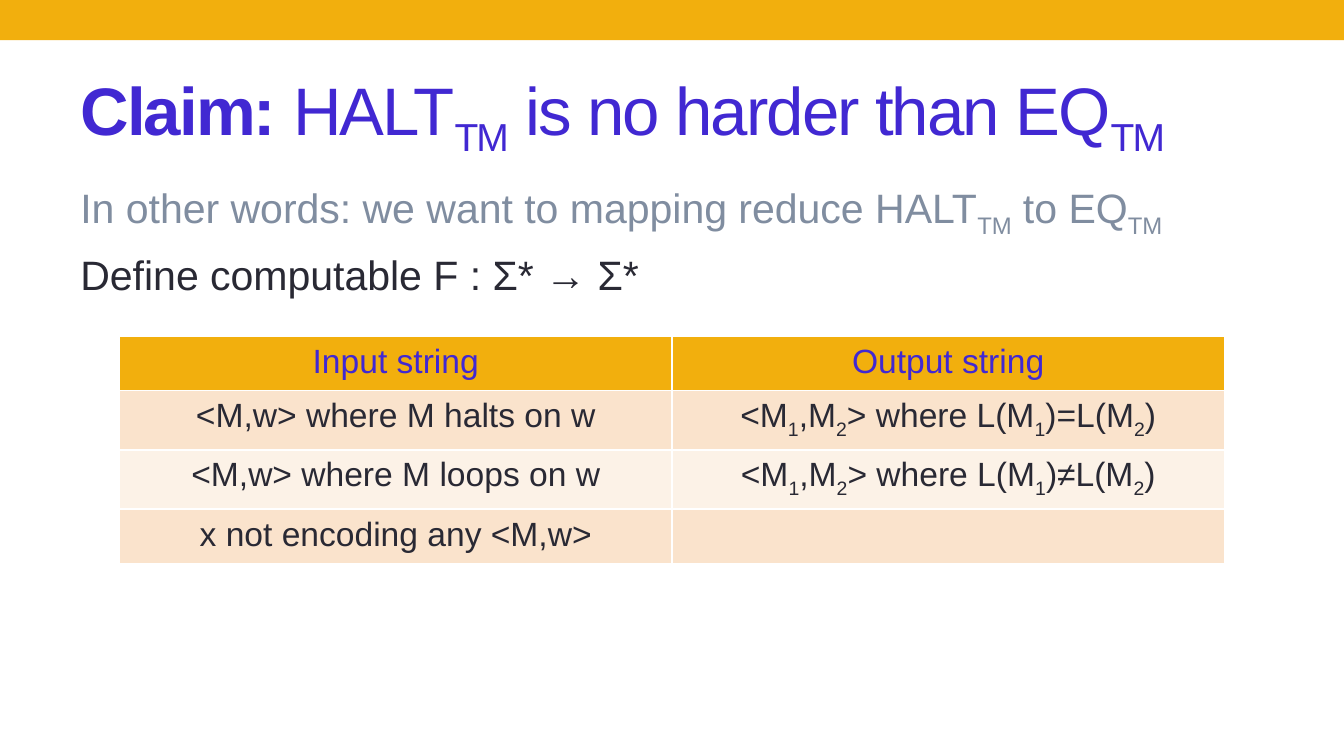
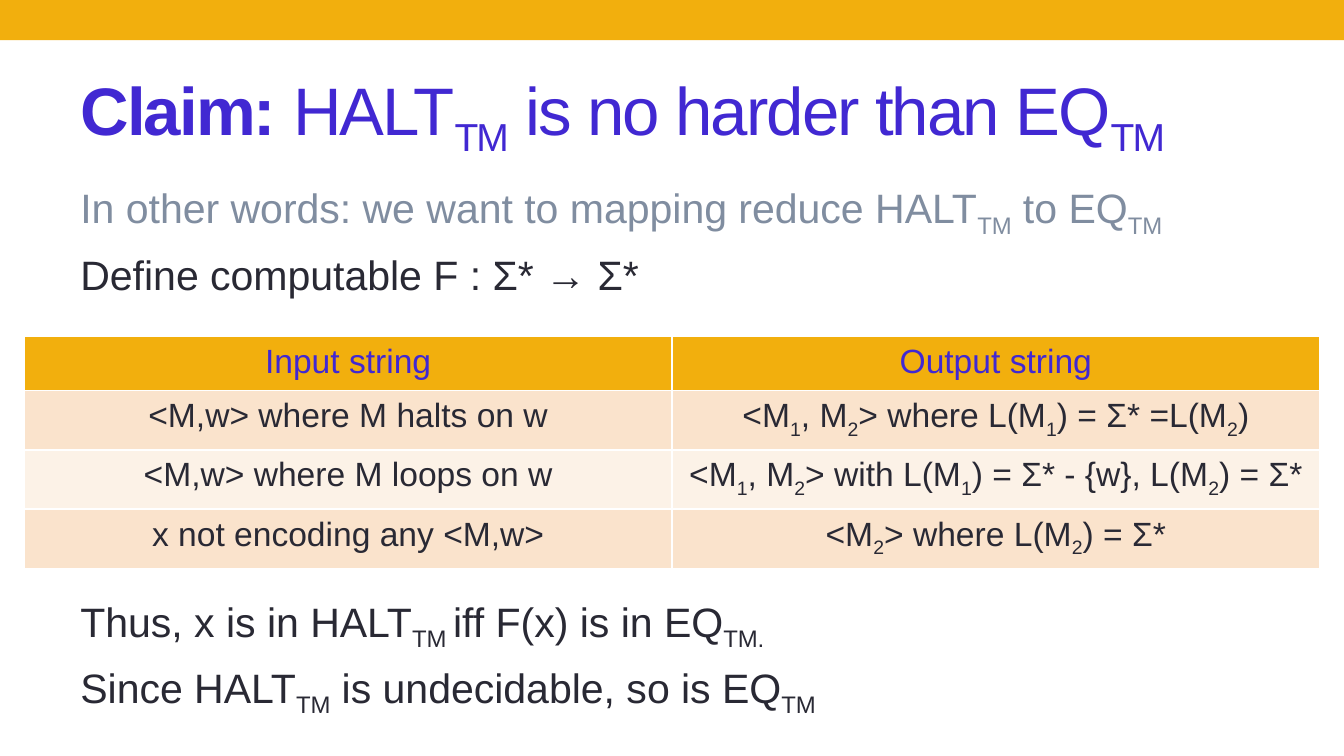
import pptx
import pptx.util
import pptx.dml.color
import pptx.enum.shapes
import pptx.enum.text
import pptx.oxml
import pptx.oxml.ns

Cm, Pt = pptx.util.Cm, pptx.util.Pt
ANCHOR = pptx.enum.text.MSO_ANCHOR
CENTER = pptx.enum.text.PP_ALIGN.CENTER

COLORS = {
    "gold": "F2AF0D",
    "violet": "4128D2",
    "slate": "808DA0",
    "ink": "292934",
    "peach": "FAE3CC",
    "cream": "FCF2E7",
    "white": "FFFFFF",
}

# Text between tildes is subscript.
TITLE = [("Claim: ", True), ("HALT~TM~ is no harder than EQ~TM~", False)]
INTRO = [
    ("In other words: we want to mapping reduce HALT~TM~ to EQ~TM~", "slate", 5.5),
    ("Define computable F : Σ* → Σ*", "ink", 5.5),
]
CONCLUSION = [
    ("Thus, x is in HALT~TM ~iff F(x) is in EQ~TM.~", "ink", 159.5),
    ("Since HALT~TM~ is undecidable, so is EQ~TM~", "ink", 5.5),
]
HEADER = ("Input string", "Output string")
INPUTS = (
    "<M,w> where M halts on w",
    "<M,w> where M loops on w",
    "x not encoding any <M,w>",
)
SLIDES = [
    {
        "body": INTRO,
        "table_width": 20.88,
        "outputs": (
            "<M~1~,M~2~> where L(M~1~)=L(M~2~)",
            "<M~1~,M~2~> where L(M~1~)≠L(M~2~)",
            "",
        ),
    },
    {
        "body": INTRO + CONCLUSION,
        "table_width": 24.48,
        "outputs": (
            "<M~1~, M~2~> where L(M~1~) = Σ* =L(M~2~)",
            "<M~1~, M~2~> with L(M~1~) = Σ* - {w}, L(M~2~) = Σ*",
            "<M~2~> where L(M~2~) = Σ*",
        ),
    },
]

WIDTH, HEIGHT = 25.4, 14.29
MARGIN = 1.27
TABLE_TOP, ROW_HEIGHT = 6.35, 1.03


def rgb(name):
    return pptx.dml.color.RGBColor.from_string(COLORS[name])


def assign(obj, values):
    for name, value in values.items():
        setattr(obj, name, value)


def paint(fill, color):
    fill.solid()
    fill.fore_color.rgb = rgb(color)


def write(p, text, size, color, bold=False, spacing=None):
    for i, part in enumerate(text.split("~")):
        if not part:
            continue
        r = p.add_run()
        r.text = part
        assign(r.font, {"name": "Arial", "size": Pt(size), "bold": bold})
        r.font.color.rgb = rgb(color)
        rPr = r.font._element
        if i % 2:
            rPr.set("baseline", "-25000")
        if spacing:
            rPr.set("spc", str(spacing))


def add_text_frame(s, top, height, anchor):
    tf = s.shapes.add_textbox(
        Cm(MARGIN), Cm(top), Cm(WIDTH - 2 * MARGIN), Cm(height)
    ).text_frame
    assign(tf, {"word_wrap": True, "vertical_anchor": anchor})
    return tf


def add_band(s):
    sp = s.shapes.add_shape(
        pptx.enum.shapes.MSO_SHAPE.RECTANGLE, 0, 0, Cm(WIDTH), Cm(0.76)
    )
    sp.shadow.inherit = False
    paint(sp.fill, "gold")
    sp.line.fill.background()


def add_title(s):
    p = add_text_frame(s, 1.12, 2.06, ANCHOR.MIDDLE).paragraphs[0]
    for text, bold in TITLE:
        write(p, text, 36, "violet", bold, spacing=-100)


def add_body(s, lines):
    tf = add_text_frame(s, 3.33, 10.16, ANCHOR.TOP)
    for i, (text, color, before) in enumerate(lines):
        p = tf.add_paragraph() if i else tf.paragraphs[0]
        p.space_before = Pt(before)
        write(p, text, 22, color)


def add_borders(cell):
    tcPr = cell._tc.get_or_add_tcPr()
    for i, side in enumerate("LRTB"):
        tcPr.insert(i, pptx.oxml.parse_xml(
            f'<a:ln{side} {pptx.oxml.ns.nsdecls("a")} w="12700"><a:solidFill>'
            f'<a:srgbClr val="{COLORS["white"]}"/></a:solidFill></a:ln{side}>'
        ))


def add_mapping_table(s, width, outputs):
    rows = [HEADER, *zip(INPUTS, outputs)]
    table = s.shapes.add_table(
        len(rows), len(HEADER), Cm((WIDTH - width) / 2), Cm(TABLE_TOP),
        Cm(width), Cm(ROW_HEIGHT * len(rows)),
    ).table
    assign(table, {"first_row": False, "horz_banding": False})
    for i, row in enumerate(rows):
        fill = "gold" if i == 0 else ("cream", "peach")[i % 2]
        for j, text in enumerate(row):
            cell = table.cell(i, j)
            paint(cell.fill, fill)
            add_borders(cell)
            p = cell.text_frame.paragraphs[0]
            p.alignment = CENTER
            write(p, text, 18, "ink" if i else "violet")


def main():
    prs = pptx.Presentation()
    assign(prs, {"slide_width": Cm(WIDTH), "slide_height": Cm(HEIGHT)})
    for content in SLIDES:
        s = prs.slides.add_slide(prs.slide_layouts[6])
        add_band(s)
        add_title(s)
        add_body(s, content["body"])
        add_mapping_table(s, content["table_width"], content["outputs"])
    prs.save("out.pptx")


if __name__ == "__main__":
    main()
